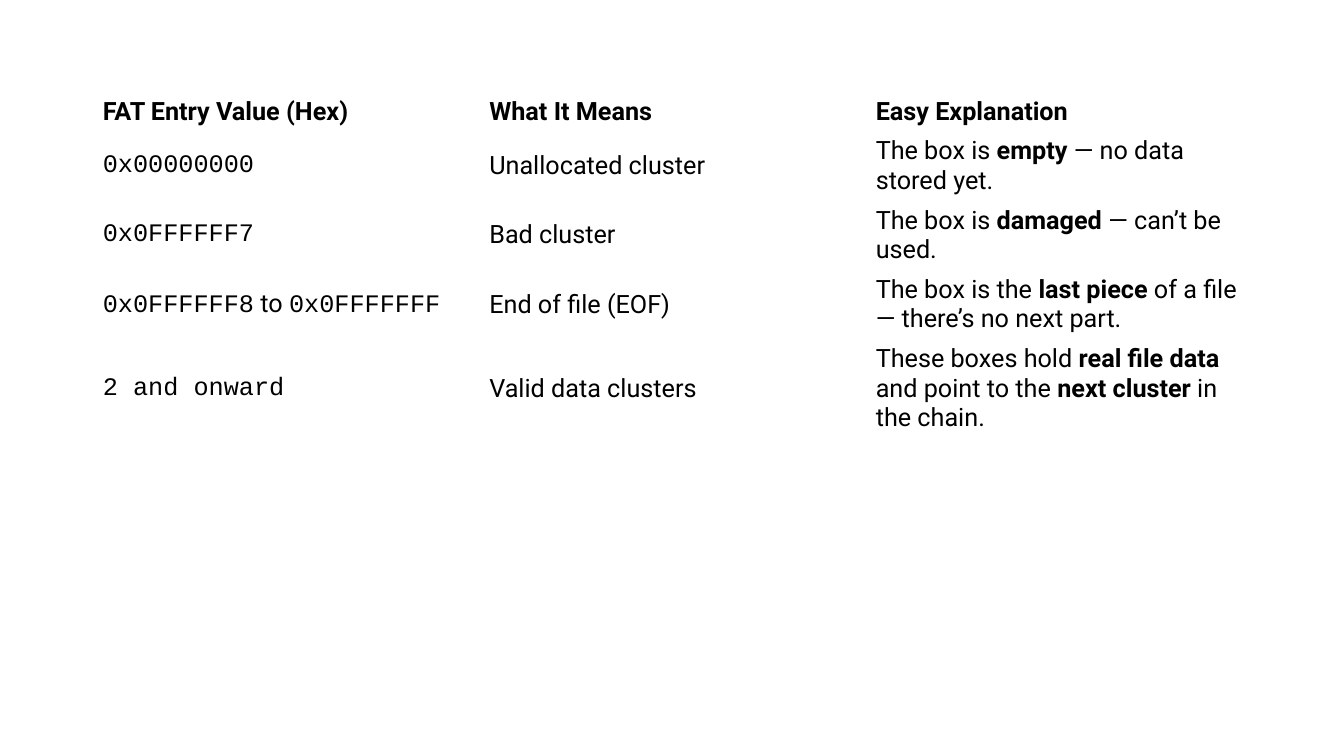
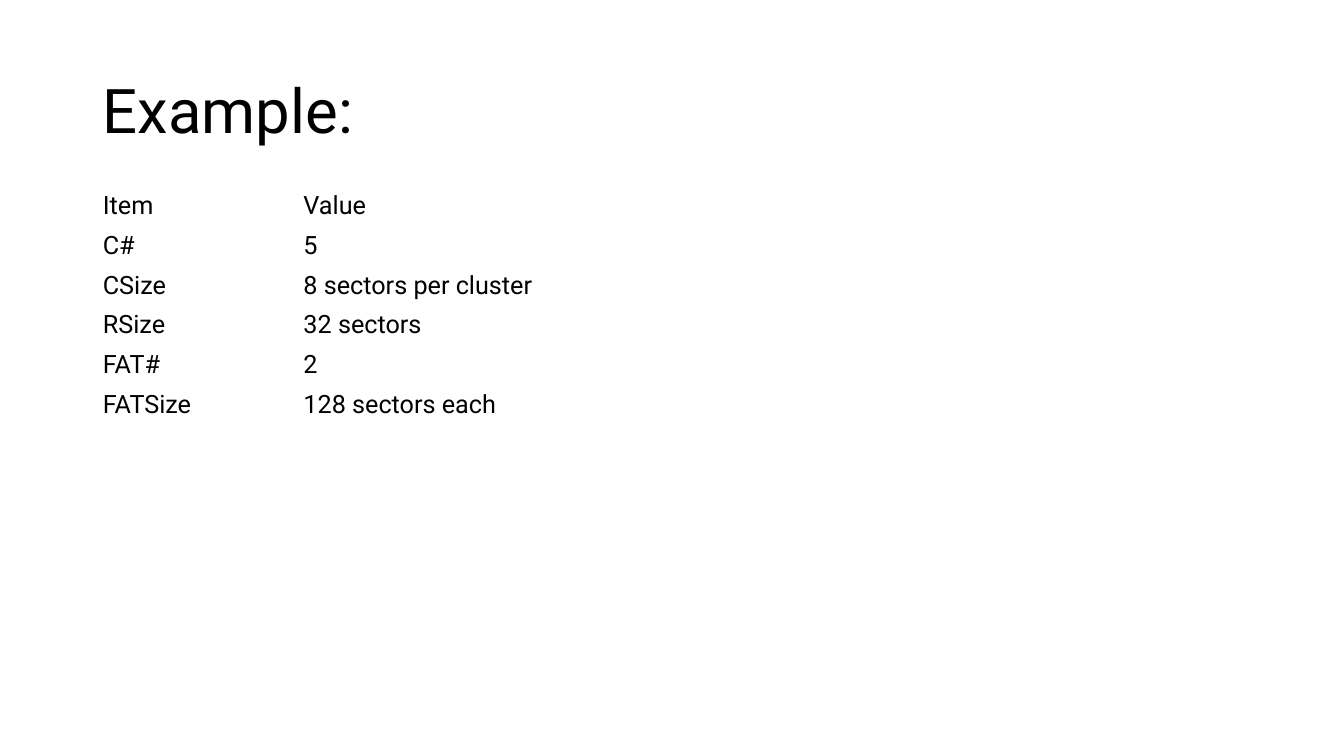
"""Two slides on FAT entry values and a worked example of cluster parameters."""
from pptx import Presentation
from pptx.dml.color import RGBColor
from pptx.enum import text
from pptx.util import Inches, Pt

INK = RGBColor(0, 0, 0)
BODY_FONT, CODE_FONT = "Roboto", "Courier New"
BODY_SIZE, TITLE_SIZE = Pt(18), Pt(44)
LEFT, WIDTH = Inches(0.92), Inches(11.5)
TITLE_ONLY, BLANK = 5, 6
BOLD_MARK, CODE_MARK = "*", "`"

FAT_ENTRIES = [
    ("*FAT Entry Value (Hex)*", "*What It Means*", "*Easy Explanation*"),
    ("`0x00000000`", "Unallocated cluster", "The box is *empty* — no data stored yet."),
    ("`0x0FFFFFF7`", "Bad cluster", "The box is *damaged* — can’t be used."),
    ("`0x0FFFFFF8` to `0x0FFFFFFF`", "End of file (EOF)",
     "The box is the *last piece* of a file — there’s no next part."),
    ("`2 and onward`", "Valid data clusters",
     "These boxes hold *real file data* and point to the *next cluster* in the chain."),
]
ENTRY_LINES = [1, 2, 2, 2, 3]

EXAMPLE_TITLE = "Example:"
EXAMPLE_VALUES = [
    ("Item", "Value"),
    ("C#", "5"),
    ("CSize", "8 sectors per cluster"),
    ("RSize", "32 sectors"),
    ("FAT#", "2"),
    ("FATSize", "128 sectors each"),
]


def style(font, size):
    font.name, font.size, font.color.rgb = BODY_FONT, size, INK


def write_marked(paragraph, marked):
    style(paragraph.font, BODY_SIZE)
    for i, code_part in enumerate(marked.split(CODE_MARK)):
        for j, words in enumerate(code_part.split(BOLD_MARK)):
            if words:
                run = paragraph.add_run()
                run.text = words
                style(run.font, BODY_SIZE)
                run.font.name = CODE_FONT if i % 2 else BODY_FONT
                run.font.bold = bool(j % 2)


def add_grid(slide, top, rows, shares, line_counts):
    heights = [Inches(0.1 + 0.29 * count) for count in line_counts]
    grid = slide.shapes.add_table(
        len(rows), len(shares), LEFT, top, WIDTH, sum(heights)).table
    grid.first_row = grid.horz_banding = False
    for column, share in zip(grid.columns, shares):
        column.width = int(WIDTH * share / sum(shares))
    for row, height, entries in zip(grid.rows, heights, rows):
        row.height = height
        for cell, marked in zip(row.cells, entries):
            cell.fill.background()
            cell.vertical_anchor = text.MSO_ANCHOR.MIDDLE
            write_marked(cell.text_frame.paragraphs[0], marked)


def add_title(slide, words):
    title = slide.shapes.title
    title.left, title.top = LEFT, Inches(0.4)
    title.width, title.height = WIDTH, Inches(1.45)
    frame = title.text_frame
    frame.text = words
    frame.vertical_anchor = text.MSO_ANCHOR.MIDDLE
    frame.auto_size = text.MSO_AUTO_SIZE.NONE
    heading = frame.paragraphs[0]
    heading.alignment = text.PP_ALIGN.LEFT
    heading.line_spacing = 0.9
    style(heading.font, TITLE_SIZE)


def main():
    deck = Presentation()
    deck.slide_width, deck.slide_height = Inches(13.33), Inches(7.5)

    entries = deck.slides.add_slide(deck.slide_layouts[BLANK])
    add_grid(entries, Inches(0.91), FAT_ENTRIES, (1, 1, 1), ENTRY_LINES)

    example = deck.slides.add_slide(deck.slide_layouts[TITLE_ONLY])
    add_title(example, EXAMPLE_TITLE)
    add_grid(example, Inches(1.85), EXAMPLE_VALUES, (1.99, 9.51),
             [1] * len(EXAMPLE_VALUES))

    deck.save("out.pptx")


if __name__ == "__main__":
    main()
